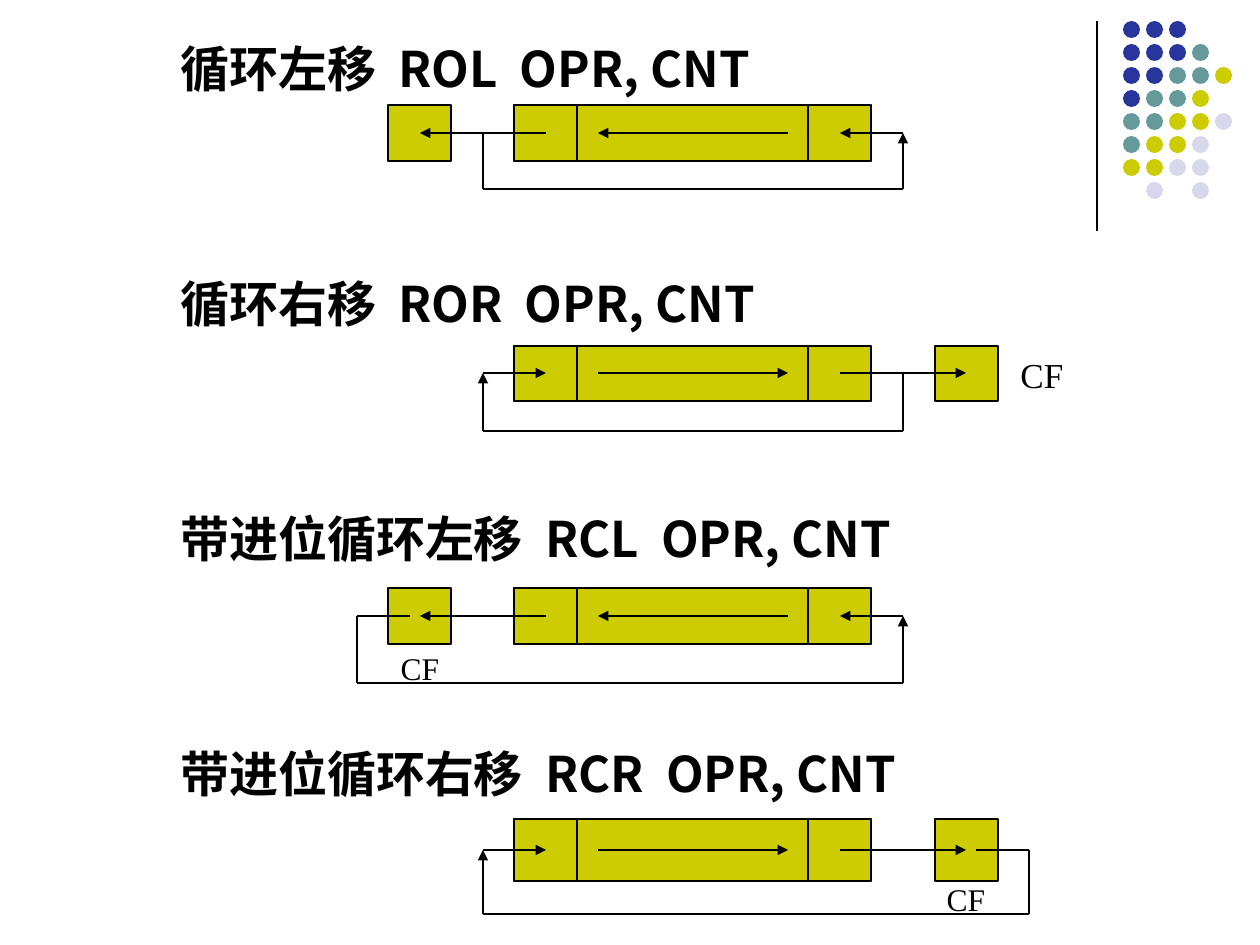
"""Build a slide on four rotate instructions and their carry flag paths."""
from itertools import pairwise

from lxml.etree import SubElement
from pptx import Presentation
from pptx.dml.color import RGBColor
from pptx.enum.shapes import MSO_CONNECTOR as Connector, MSO_SHAPE as Shape
from pptx.enum.text import MSO_ANCHOR as Anchor, PP_ALIGN as Align
from pptx.oxml.ns import qn
from pptx.util import Emu, Pt

SCALE = 914400 / 126
BLACK = RGBColor(0x00, 0x00, 0x00)
WHITE = RGBColor(0xFF, 0xFF, 0xFF)
OLIVE = RGBColor(0xCC, 0xCC, 0x00)
NAVY = RGBColor(0x27, 0x35, 0x9D)
TEAL = RGBColor(0x66, 0x99, 0x99)
LILAC = RGBColor(0xD8, 0xD8, 0xEC)

HEADING_FONT = {"name": "Noto Sans CJK SC", "size": Pt(28), "bold": True}
SERIF = "Times New Roman"
HEADINGS = [
    "循环左移  ROL  OPR, CNT",
    "循环右移  ROR  OPR, CNT",
    "带进位循环左移  RCL  OPR, CNT",
    "带进位循环右移  RCR  OPR, CNT",
]

DOT_COLORS = {"N": NAVY, "T": TEAL, "O": OLIVE, "L": LILAC}
DOT_ROWS = ["NNN", "NNNT", "NNTTO", "NTTO", "TTOOL", "TOOL", "OOLL", " L L"]
DOT_SIZE, DOT_PITCH = 17, 23

REGISTER_LEFT, REGISTER_WIDTH, CELL = 514, 357, 63
AXIS_SUM = 1386
ARROWS = [(546, 420), (903, 840), (788, 598)]

ROTATIONS = [
    {"top": 105, "height": 56, "loop": 189, "right": False, "carry": False},
    {"top": 346, "height": 55, "loop": 431, "right": True, "carry": False},
    {"top": 588, "height": 56, "loop": 683, "right": False, "carry": True},
    {"top": 819, "height": 62, "loop": 914, "right": True, "carry": True},
]
CF_LABELS = [
    ((1008, 346, 84, 56), 20, Align.LEFT),
    ((380, 643, 80, 50), 18, Align.CENTER),
    ((926, 874, 80, 50), 18, Align.CENTER),
]


def px(*lengths):
    """Turn pixel lengths into EMU."""
    return [Emu(round(length * SCALE)) for length in lengths]


def apply(target, values):
    """Set each named format value on the target."""
    for name, value in values.items():
        setattr(target, name, value)


def add_figure(page, kind, frame, fill, outlined=False):
    """Add a filled preset shape, outlined in black when asked."""
    figure = page.shapes.add_shape(kind, *px(*frame))
    figure.shadow.inherit = False
    figure.fill.solid()
    figure.fill.fore_color.rgb = fill
    if outlined:
        figure.line.color.rgb = BLACK
        figure.line.width = Pt(1)
    else:
        figure.line.fill.background()


def add_line(page, start, end, arrow=False, weight=1):
    """Add a straight black line, with an arrowhead at its end when asked."""
    line = page.shapes.add_connector(Connector.STRAIGHT, *px(*start, *end))
    line.line.color.rgb = BLACK
    line.line.width = Pt(weight)
    if arrow:
        SubElement(line.line._get_or_add_ln(), qn("a:tailEnd"), type="triangle")
    SubElement(line._element.spPr, qn("a:effectLst"))


def add_text(page, frame, texts, font, layout, frame_format):
    """Add a text box with one paragraph per text, spaced by the layout."""
    box = page.shapes.add_textbox(*px(*frame))
    apply(box.text_frame, {"word_wrap": True, **frame_format})
    for index, text in enumerate(texts):
        para = box.text_frame.paragraphs[0] if index == 0 else box.text_frame.add_paragraph()
        apply(para, layout)
        if index == 0:
            para.space_before = Pt(0)
        span = para.add_run()
        span.text = text
        apply(span.font, font)
        span.font.color.rgb = BLACK
        SubElement(span.font._element, qn("a:ea"), typeface=font["name"])


def add_dots(page):
    """Add the corner grid of coloured dots."""
    for row, codes in enumerate(DOT_ROWS):
        for column, code in enumerate(codes):
            if code in DOT_COLORS:
                left, top = 1123 + column * DOT_PITCH, 21 + row * DOT_PITCH
                frame = (left, top, DOT_SIZE, DOT_SIZE)
                add_figure(page, Shape.OVAL, frame, DOT_COLORS[code])


def add_rotation(page, top, height, loop, right, carry):
    """Add a register, its carry cell, its arrows and the return loop."""
    def place(x):
        """Mirror a position for a rotation to the right."""
        return AXIS_SUM - x if right else x

    middle = top + height // 2
    carry_left = place(388) - (CELL if right else 0)
    last_bit = REGISTER_LEFT + REGISTER_WIDTH - CELL
    cells = [(REGISTER_LEFT, REGISTER_WIDTH)]
    cells += [(left, CELL) for left in (carry_left, REGISTER_LEFT, last_bit)]
    for left, width in cells:
        add_figure(page, Shape.RECTANGLE, (left, top, width, height), OLIVE, True)
    for start, end in ARROWS:
        add_line(page, (place(start), middle), (place(end), middle), True)

    exit_x = 357 if carry else 483
    route = [(exit_x, middle), (exit_x, loop), (903, loop), (903, middle)]
    if carry:
        route.insert(0, (410, middle))
    points = [(place(x), y) for x, y in route]
    for start, end in pairwise(points):
        add_line(page, start, end, end == points[-1])


def main():
    """Build and save the slide."""
    deck = Presentation()
    deck.slide_width, deck.slide_height = px(1260, 945)
    page = deck.slides.add_slide(deck.slide_layouts[6])
    page.background.fill.solid()
    page.background.fill.fore_color.rgb = WHITE
    add_line(page, (1097, 21), (1097, 231), weight=0.75)
    add_dots(page)
    heading_layout = {"line_spacing": Pt(34), "space_before": Pt(100.3)}
    add_text(page, (168, 32, 1040, 777), HEADINGS, HEADING_FONT, heading_layout, {})
    for rotation in ROTATIONS:
        add_rotation(page, **rotation)
    for frame, size, alignment in CF_LABELS:
        font = {"name": SERIF, "size": Pt(size)}
        centred = {"vertical_anchor": Anchor.MIDDLE}
        add_text(page, frame, ["CF"], font, {"alignment": alignment}, centred)
    deck.save("out.pptx")


if __name__ == "__main__":
    main()
